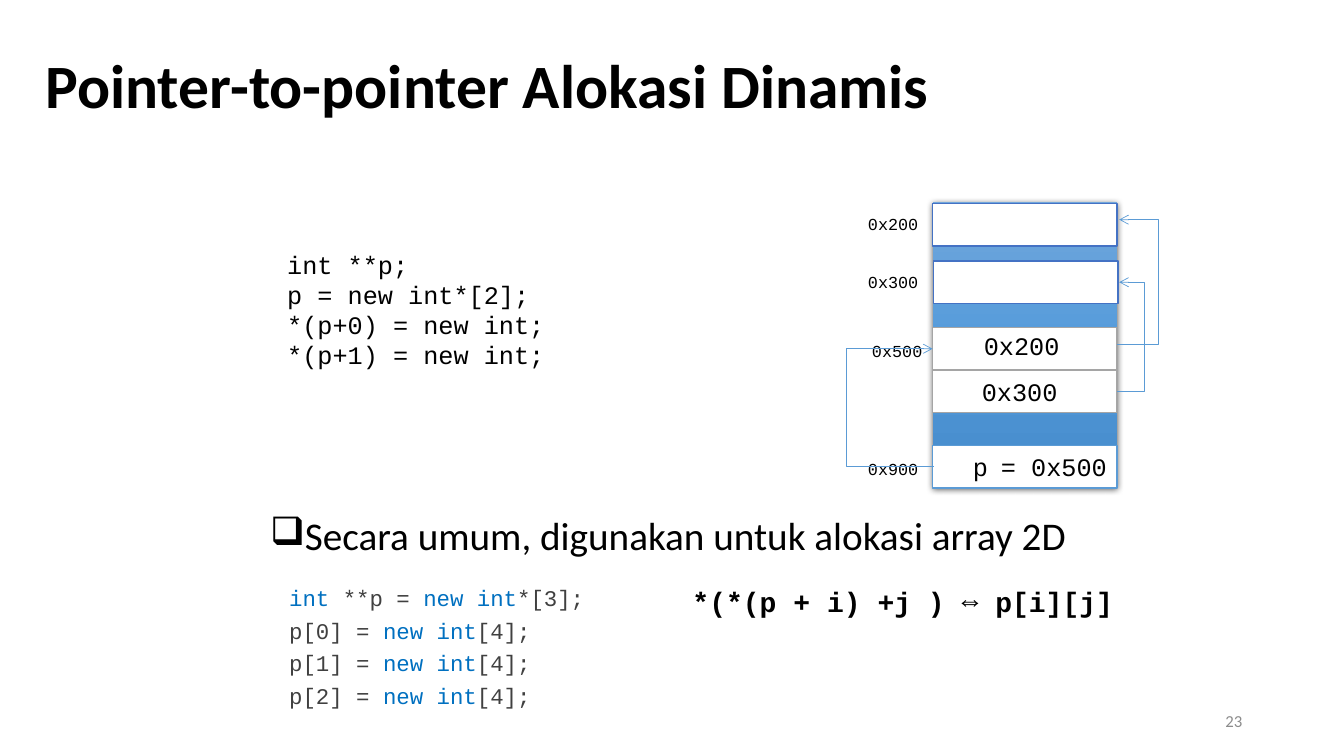
from copy import deepcopy
from pptx import Presentation
from pptx import util as u
from pptx.dml.color import RGBColor
from pptx.enum import shapes, text
from pptx.oxml import ns, parse_xml

PX = 9144
THEME = {
    "sans": "Calibri", "mono": "Courier New",
    "ink": "000000", "muted": "8C8C8C", "code": "404040", "keyword": "0070C0",
    "paper": "FFFFFF", "pointer": "5B9BD5", "grey": "A5A5A5", "block": "4472C4",
    "memory": ["71A6DB", "559BDB", "448ACA"],
    "title": 44, "lead": 28, "formula": 20, "body": 18, "listing": 16, "small": 12,
}


def style(run, size, color="ink", face="mono", bold=False):
    run.font.name = THEME[face]
    run.font.size = u.Pt(THEME[size])
    run.font.bold = bold
    run.font.color.rgb = RGBColor.from_string(THEME[color])


def write(box, lines, size, color="ink", face="mono", bold=False, wrap=True):
    frame = slide.shapes.add_textbox(*[v * PX for v in box]).text_frame
    frame.word_wrap = wrap
    frame.text = "\n".join(lines)
    for paragraph in frame.paragraphs:
        for run in paragraph.runs:
            style(run, size, color, face, bold)
    return frame


deck = Presentation()
deck.slide_width, deck.slide_height = 1333 * PX, 750 * PX
slide = deck.slides.add_slide(deck.slide_layouts[5])

title = slide.shapes.title
title.left, title.top, title.width, title.height = [v * PX for v in (35, 15, 1098, 145)]
title.text_frame.text = "Pointer-to-pointer Alokasi Dinamis"
title.text_frame.vertical_anchor = text.MSO_ANCHOR.MIDDLE
title.text_frame.auto_size = text.MSO_AUTO_SIZE.NONE
heading = title.text_frame.paragraphs[0]
heading.alignment = text.PP_ALIGN.LEFT
heading.line_spacing = 0.9
style(heading.runs[0], "title", face="sans", bold=True)

lead = write((258, 508, 817, 60), ["Secara umum, digunakan untuk alokasi array 2D"],
             "lead", face="sans").paragraphs[0]
lead.line_spacing = 0.9
lead.space_before = u.Pt(10)
lead_format = lead._p.get_or_add_pPr()
lead_format.set("marL", str(25 * PX))
lead_format.set("indent", str(-25 * PX))
lead_format.append(parse_xml(f'<a:buChar {ns.nsdecls("a")} char="❑"/>'))

page = write((942, 695, 300, 40), ["23"], "small", "muted", "sans")
page.vertical_anchor = text.MSO_ANCHOR.MIDDLE
page.paragraphs[0].alignment = text.PP_ALIGN.RIGHT

write((275, 242, 336, 131),
      ["int **p;", "p = new int*[2];", "*(p+0) = new int;", "*(p+1) = new int;"], "body")

memory = slide.shapes.add_shape(shapes.MSO_SHAPE.RECTANGLE, *[v * PX for v in (925, 200, 183, 283)])
memory.line.fill.background()
memory.fill.gradient()
memory.fill.gradient_angle = 270
stops = memory.fill._fill._gradFill.gsLst
stops.insert(1, deepcopy(stops[0]))
for stop, color, position in zip(memory.fill.gradient_stops, THEME["memory"], (0, 0.5, 1)):
    stop.color.rgb = RGBColor.from_string(color)
    stop.position = position
memory.shadow.inherit = False
memory._element.spPr.find(ns.qn("a:effectLst")).append(parse_xml(
    f'<a:outerShdw {ns.nsdecls("a")} blurRad="57150" dist="19050" dir="5400000" rotWithShape="0">'
    '<a:srgbClr val="000000"><a:alpha val="63000"/></a:srgbClr></a:outerShdw>'))

for left, top, border, variable in (
    (925, 367, "grey", ""), (925, 442, "pointer", "p"), (925, 325, "grey", ""),
    (925, 202, "block", ""), (926, 259, "block", ""),
):
    cell = slide.shapes.add_shape(shapes.MSO_SHAPE.RECTANGLE, left * PX, top * PX, 183 * PX, 42 * PX)
    cell.shadow.inherit = False
    cell.fill.solid()
    cell.fill.fore_color.rgb = RGBColor.from_string(THEME["paper"])
    cell.line.color.rgb = RGBColor.from_string(THEME[border])
    cell.line.width = u.Pt(1)
    if variable:
        cell.text_frame.text = variable
        cell.text_frame.margin_left = 40 * PX
        cell.text_frame.vertical_anchor = text.MSO_ANCHOR.MIDDLE
        cell.text_frame.paragraphs[0].alignment = text.PP_ALIGN.LEFT
        style(cell.text_frame.paragraphs[0].runs[0], "body")

for left, top, address in ((851, 450, "0x900"), (855, 333, "0x500"),
                           (851, 207, "0x200"), (851, 265, "0x300")):
    write((left, top, 71, 30), [address], "small", wrap=False)
for left, top, width, value in ((983, 443, 126, "= 0x500"), (966, 323, 96, "0x200"),
                                (964, 368, 96, "0x300")):
    write((left, top, width, 40), [value], "body", wrap=False)

for start, end, lane in (((926, 463), (925, 346), 838),
                         ((1108, 342), (1110, 218), 1149),
                         ((1108, 388), (1110, 280), 1135)):
    turned = end[0] < start[0]
    first, last = (end, start) if turned else (start, end)
    pointer = slide.shapes.add_connector(shapes.MSO_CONNECTOR.ELBOW,
                                         *[v * PX for v in first + last])
    pointer.line.color.rgb = RGBColor.from_string(THEME["pointer"])
    pointer.line.width = u.Pt(0.5)
    shape_format = pointer._element.spPr
    if turned:
        shape_format.find(ns.qn("a:xfrm")).set("rot", "10800000")
    bend = round(100000 * (lane - start[0]) / (end[0] - start[0]))
    guides = shape_format.find(ns.qn("a:prstGeom")).get_or_add_avLst()
    guides.append(parse_xml(f'<a:gd {ns.nsdecls("a")} name="adj1" fmla="val {bend}"/>'))
    pointer.line._get_or_add_ln().append(parse_xml(f'<a:tailEnd {ns.nsdecls("a")} type="arrow"/>'))
    shape_format.append(parse_xml(f'<a:effectLst {ns.nsdecls("a")}/>'))

listing = write((277, 575, 400, 139), [""], "listing")
rows = [[("int ", "keyword"), ("**p = ", "code"), ("new int", "keyword"), ("*[3];", "code")]]
rows += [[(f"p[{i}] = ", "code"), ("new int", "keyword"), ("[4];", "code")] for i in range(3)]
for index, row in enumerate(rows):
    line = listing.add_paragraph() if index else listing.paragraphs[0]
    line.space_before = u.Pt(4)
    for words, color in row:
        run = line.add_run()
        run.text = words
        style(run, "listing", color)

formula = write((677, 575, 464, 50), ["*(*(p + i) +j ) ⇔ p[i][j]"], "formula", bold=True)
formula.paragraphs[0].space_before = u.Pt(4)

deck.save("out.pptx")
